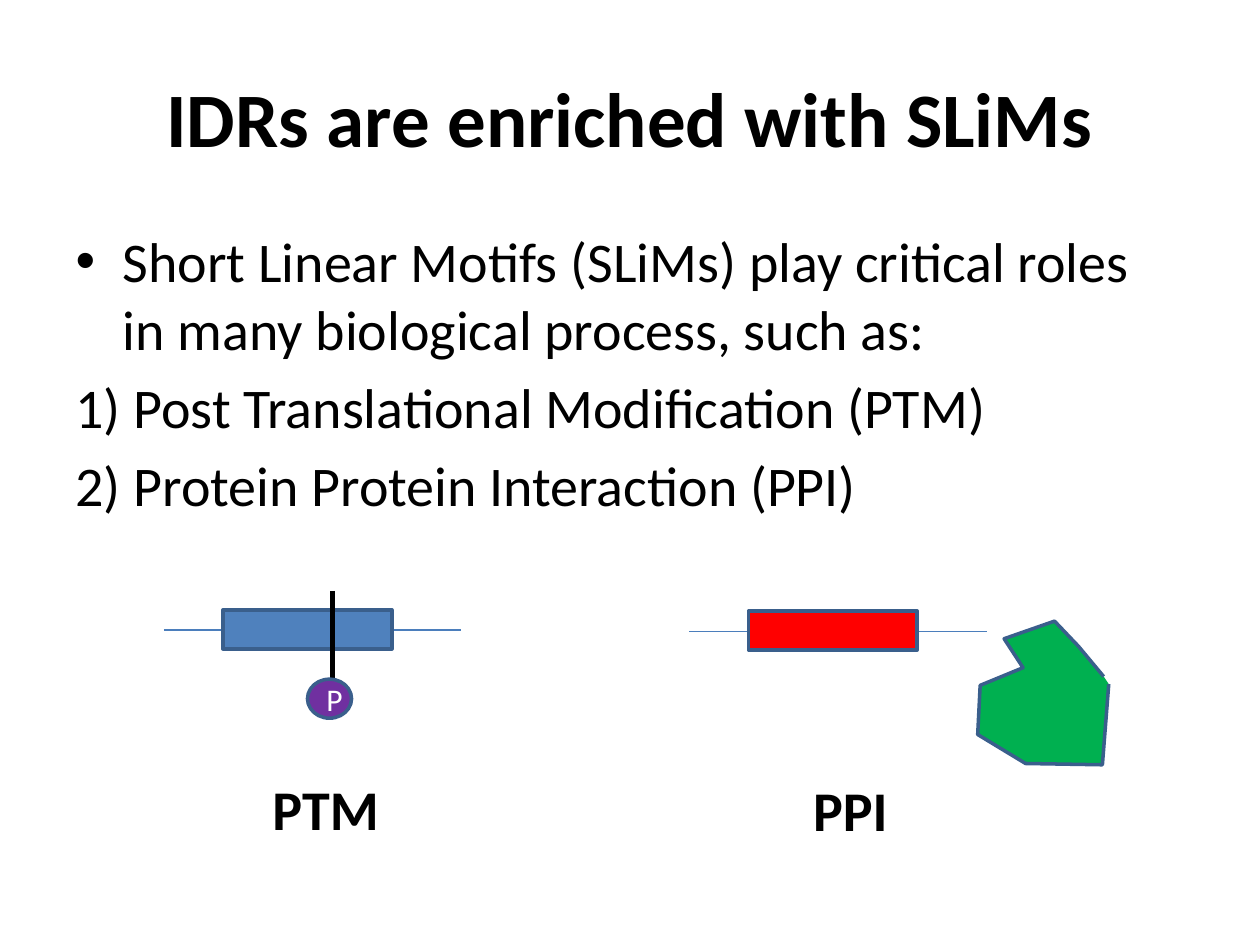
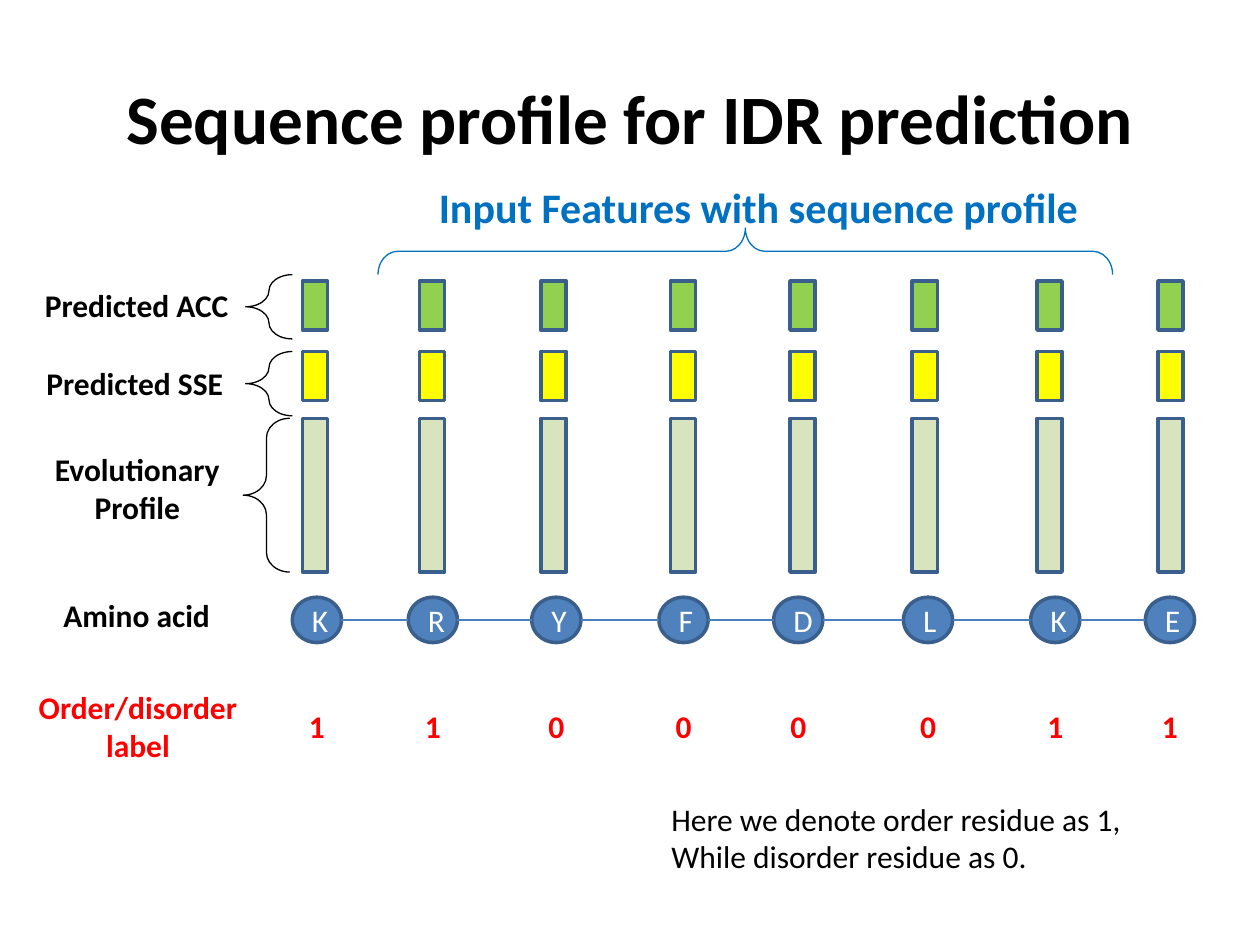
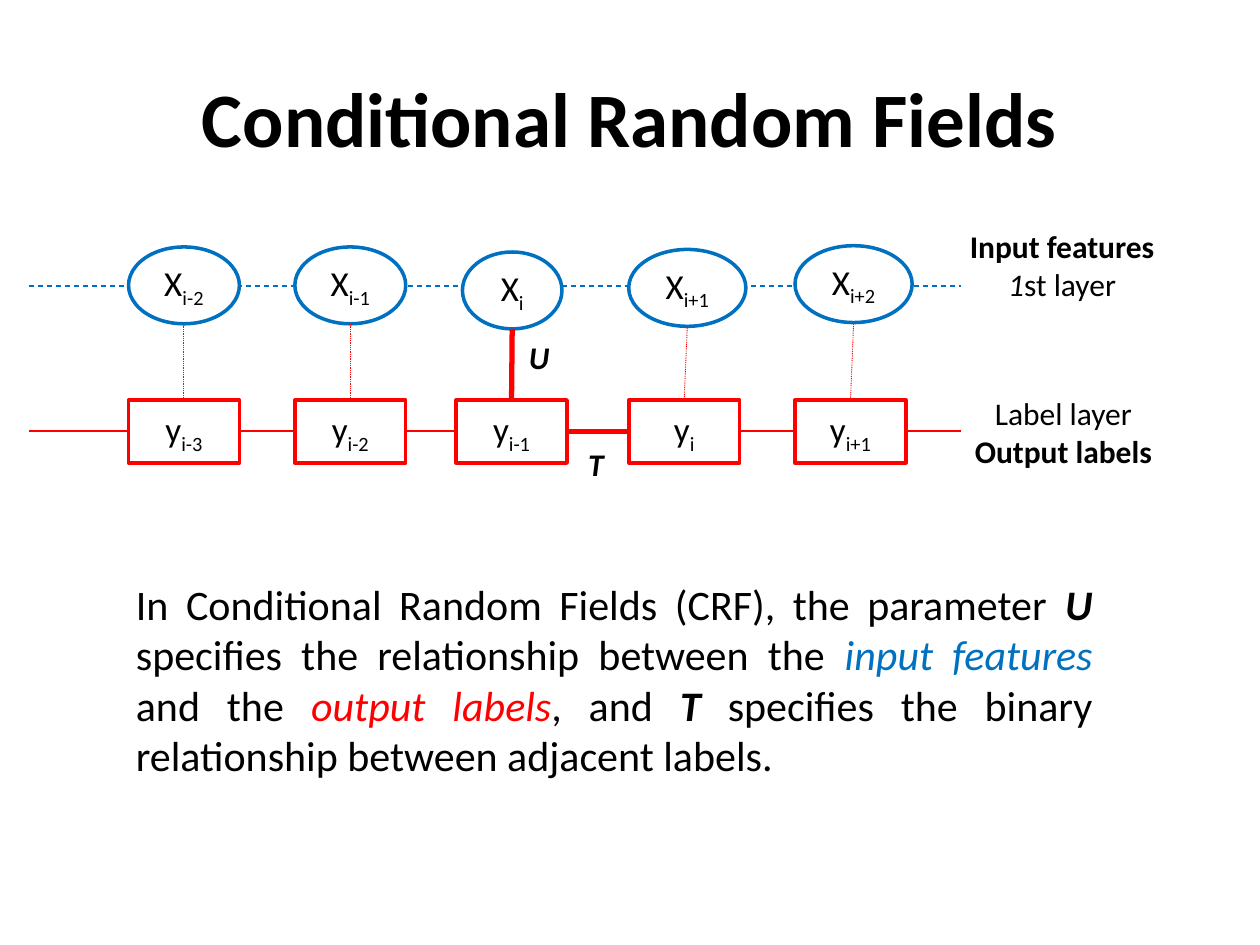
from dataclasses import dataclass
from itertools import pairwise

from lxml import etree
from pptx import Presentation
from pptx import util as u
from pptx.dml.color import RGBColor
from pptx.enum import dml, shapes, text
from pptx.oxml.ns import qn


@dataclass(frozen=True)
class Theme:
    font: str = "Calibri"
    black: str = "000000"
    white: str = "FFFFFF"
    red: str = "FF0000"
    blue: str = "0070C0"
    steel: str = "4F81BD"
    outline: str = "3A5F8C"
    thread: str = "4B7EBC"
    purple: str = "7030A0"
    green: str = "00B050"
    lime: str = "92D050"
    yellow: str = "FFFF00"
    sage: str = "D7E4BD"
    title: float = 44
    long_title: float = 39.6
    body: float = 32
    lead: float = 24
    node: float = 20
    label: float = 18
    hair: float = 0.5
    thin: float = 0.75
    edge: float = 2
    thick: float = 3


T = Theme()
KIND = shapes.MSO_SHAPE
STRAIGHT = shapes.MSO_CONNECTOR.STRAIGHT
ALIGN = text.PP_ALIGN
MIDDLE = {"word_wrap": True, "vertical_anchor": text.MSO_ANCHOR.MIDDLE}
SNUG = {"word_wrap": False}
TOP, LEFT, RIGHT = 0, 1, 3
STRONG = {"bold": True, "italic": True}

deck = Presentation()
deck.slide_width, deck.slide_height = u.Inches(10), u.Inches(7.5)
CELL = deck.slide_width // 100


def grid(*cells):
    """Turn columns and rows of the 100 by 75 grid into lengths."""
    return [u.Emu(round(cell * CELL)) for cell in cells]


def dress(item, paragraphs=(), line=None, fill=None, align=ALIGN.CENTER, frame=MIDDLE,
          size=T.label, color=T.black, **font):
    """Format a shape, text box, placeholder or connector.

    line is (colour, weight, dash); a paragraph is a string or a list of (text, format).
    """
    if line:
        shade, weight, *dash = line
        item.line.color.rgb = RGBColor.from_string(shade)
        item.line.width = u.Pt(weight)
        if dash:
            item.line.dash_style = dash[0]
        if fill:
            item.fill.solid()
            item.fill.fore_color.rgb = RGBColor.from_string(fill)
        elif hasattr(item, "fill"):
            item.fill.background()
        etree.SubElement(item._element.spPr, qn("a:effectLst"))
    if paragraphs:
        for name, value in frame.items():
            setattr(item.text_frame, name, value)
    for number, content in enumerate(paragraphs):
        body = item.text_frame
        paragraph = body.add_paragraph() if number else body.paragraphs[0]
        paragraph.alignment = align
        for words, changes in [(content, {})] if isinstance(content, str) else content:
            run = paragraph.add_run()
            run.text = words
            look = {"name": T.font, "size": u.Pt(size), "color": color, **font, **changes}
            run.font.color.rgb = RGBColor.from_string(look.pop("color"))
            if look.pop("subscript", False):
                run.font._element.set("baseline", "-25000")
            for name, value in look.items():
                setattr(run.font, name, value)
    return item


titles = [
    ("IDRs are enriched with SLiMs", T.title, 1),
    ("Sequence profile for IDR prediction", T.long_title, 5),
    ("Conditional Random Fields", T.title, 5),
]
for heading, size, layout in titles:
    page = deck.slides.add_slide(deck.slide_layouts[layout])
    banner = page.shapes.title
    banner.left, banner.top, banner.width, banner.height = grid(5, 3, 90, 12.5)
    dress(banner, [heading], size=size, bold=True)
motifs, profile, fields = deck.slides

# Slide 1: short linear motifs
roles = motifs.placeholders[1]
roles.left, roles.top, roles.width, roles.height = grid(5, 17.5, 90, 49.5)
dress(roles, [
    "Short Linear Motifs (SLiMs) play critical roles in many biological process, such as:",
    "1) Post Translational Modification (PTM)",
    "2) Protein Protein Interaction (PPI)",
], align=ALIGN.LEFT, frame={"word_wrap": True}, size=T.body)
for numbered in roles.text_frame.paragraphs[1:]:
    properties = numbered._p.get_or_add_pPr()
    properties.set("marL", "0")
    properties.set("indent", "0")
    etree.SubElement(properties, qn("a:buNone"))

for name, start, row, motif_color, name_left, name_width in [
    ("PTM", 13, 50, T.steel, 20.6, 10.5),
    ("PPI", 54.7, 50.1, T.red, 63.5, 8),
]:
    chain = motifs.shapes.add_connector(STRAIGHT, *grid(start, row, start + 23.6, row))
    dress(chain, line=(T.thread, T.thin))
    motif = motifs.shapes.add_shape(KIND.RECTANGLE, *grid(start + 4.7, row - 1.6, 13.4, 3.1))
    dress(motif, line=(T.outline, T.edge), fill=motif_color)
    caption = motifs.shapes.add_textbox(*grid(name_left, row + 11, name_width, 6.4))
    dress(caption, [name], frame=SNUG, size=T.body, bold=True)

bond = motifs.shapes.add_connector(STRAIGHT, *grid(26.4, 46.9, 26.4, 53.9))
dress(bond, line=(T.black, T.thick))
phosphate = motifs.shapes.add_shape(KIND.OVAL, *grid(24.4, 53.9, 3.5, 3.1))
dress(phosphate, ["P"], line=(T.outline, T.edge), fill=T.purple, color=T.white)

partner_outline = [(88, 54.3), (87.5, 60.7), (81.4, 60.6), (77.6, 58.3), (77.8, 54.4),
                   (81.2, 53), (79.7, 50.7), (83.7, 49.3), (85.6, 51.3), (87.6, 53.7)]
first, *others = [grid(*point) for point in partner_outline]
builder = motifs.shapes.build_freeform(*first)
builder.add_line_segments(others, close=False)
dress(builder.convert_to_shape(), line=(T.outline, T.edge), fill=T.green)

# Slide 2: sequence profile
residues = [  # amino acid, order label, circle column, bar column
    ("K", "1", 23.2, 24), ("R", "1", 32.4, 33.3), ("Y", "0", 42.2, 42.95),
    ("F", "0", 52.3, 53.2), ("D", "0", 61.4, 62.7), ("L", "0", 71.7, 72.4),
    ("K", "1", 81.8, 82.3), ("E", "1", 90.9, 91.9),
]
feature_bars = [(33.2, 12.2, T.sage), (27.9, 3.9, T.yellow), (22.3, 3.9, T.lime)]
CIRCLE = 3.9
for acid, order, circle_left, bar_left in residues:
    circle = profile.shapes.add_shape(KIND.OVAL, *grid(circle_left, 47.4, CIRCLE, 3.6))
    dress(circle, [acid], line=(T.outline, T.edge), fill=T.steel, color=T.white)
    digit = profile.shapes.add_textbox(*grid(circle_left, 56.1, CIRCLE, 3.1))
    dress(digit, [order], color=T.red, bold=True)
    for top, height, shade in feature_bars:
        bar = profile.shapes.add_shape(KIND.RECTANGLE, *grid(bar_left, top, 2, height))
        dress(bar, line=(T.outline, T.edge), fill=shade)
for (*_, before, _), (*_, after, _) in pairwise(residues):
    peptide = profile.shapes.add_connector(STRAIGHT, *grid(before + CIRCLE, 49.2, after, 49.2))
    dress(peptide, line=(T.thread, T.thin))

for lines, box, color, size in [
    (["Predicted ACC"], (2.5, 22.2, 16.7, 4), T.black, T.label),
    (["Predicted SSE"], (2.6, 28.4, 16.2, 4), T.black, T.label),
    (["Evolutionary", "Profile"], (3.3, 35.2, 15.2, 7.1), T.black, T.label),
    (["Amino acid"], (4, 46.8, 13.7, 4), T.black, T.label),
    (["Order/disorder", "label"], (2, 54.1, 17.9, 7.1), T.red, T.label),
    (["Input Features with sequence profile"], (33.4, 13.9, 53.6, 5), T.blue, T.lead),
]:
    row_name = profile.shapes.add_textbox(*grid(*box))
    dress(row_name, lines, frame=SNUG, size=size, color=color, bold=True)
note = profile.shapes.add_textbox(*grid(52.3, 62.9, 44.8, 7.1))
dress(note, ["Here we denote order residue as 1,", "While disorder residue as 0."], align=ALIGN.LEFT)

for box, turn, color in [
    ((19.3, 33.2, 3.7, 12.2), 0, T.black),
    ((19.5, 27.9, 3.7, 5.1), 0, T.black),
    ((19.5, 21.8, 3.7, 5.1), 0, T.black),
    ((57.3, -9.2, 3.7, 58.3), 90, T.blue),
]:
    brace = profile.shapes.add_shape(KIND.LEFT_BRACE, *grid(*box))
    brace.adjustments[0] = 0.42
    brace.rotation = turn
    dress(brace, line=(color, T.thin))

# Slide 3: conditional random fields
for row, line in [(34.2, (T.red, T.thin)), (22.7, (T.blue, T.thin, dml.MSO_LINE.DASH))]:
    layer = fields.shapes.add_connector(STRAIGHT, *grid(2.3, row, 76.3, row))
    dress(layer, line=line)

steps = [  # input index, its column, row and width, label index, its column
    ("i-2", 10.2, 19.6, 8.8, "i-3", 10.2),
    ("i-1", 23.4, 19.6, 8.8, "i-2", 23.4),
    ("i", 36.7, 20, 7.9, "i-1", 36.2),
    ("i+1", 49.9, 19.8, 9.3, "i", 49.9),
    ("i+2", 63.1, 19.5, 9.3, "i+1", 63.1),
]
labels = []
for input_index, left, top, width, label_index, label_left in steps:
    feature = fields.shapes.add_shape(KIND.OVAL, *grid(left, top, width, 6.1))
    label = fields.shapes.add_shape(KIND.RECTANGLE, *grid(label_left, 31.75, 8.8, 5))
    for node, letter, index, color in [(feature, "X", input_index, T.blue),
                                       (label, "y", label_index, T.red)]:
        dress(node, [[(letter, {}), (index, {"subscript": True})]],
              line=(color, T.edge), fill=T.white, size=T.node)
    middle = left + width / 2
    link = fields.shapes.add_connector(STRAIGHT, *grid(middle, top + 6.1, middle, 31.75))
    link.end_connect(label, TOP)
    current = input_index == "i"
    dress(link, line=(T.red, T.thick) if current else (T.red, T.hair, dml.MSO_LINE.ROUND_DOT))
    labels.append(label)

for number, (before, after) in enumerate(pairwise(labels)):
    transition = fields.shapes.add_connector(STRAIGHT, 0, 0, 0, 0)
    transition.begin_connect(before, RIGHT)
    transition.end_connect(after, LEFT)
    dress(transition, line=(T.red, T.thick if number == 2 else T.thin))

for lines, box, font in [
    ([[("Input features", {"bold": True})], [("1", {"italic": True}), ("st layer", {})]],
     (74, 17.9, 20.6, 6.2), {}),
    (["Label layer", [("Output labels", {"bold": True})]], (74, 31.2, 20.8, 6.2), {}),
    (["U"], (39.3, 26.1, 7, 4.4), STRONG),
    (["T"], (43.8, 34.6, 7, 4.4), STRONG),
]:
    dress(fields.shapes.add_textbox(*grid(*box)), lines, **font)

explanation = fields.shapes.add_textbox(*grid(9.8, 45.4, 77.9, 17.2))
dress(explanation, [[
    ("In Conditional Random Fields (CRF), the parameter ", {}),
    ("U", STRONG),
    (" specifies the relationship between the ", {}),
    ("input features ", {"color": T.blue, "italic": True}),
    ("and the ", {}),
    ("output labels", {"color": T.red, "italic": True}),
    (", and ", {}),
    ("T ", STRONG),
    ("specifies the binary relationship between adjacent labels.", {}),
]], align=ALIGN.JUSTIFY, frame={"word_wrap": True}, size=T.lead)

deck.save("out.pptx")
